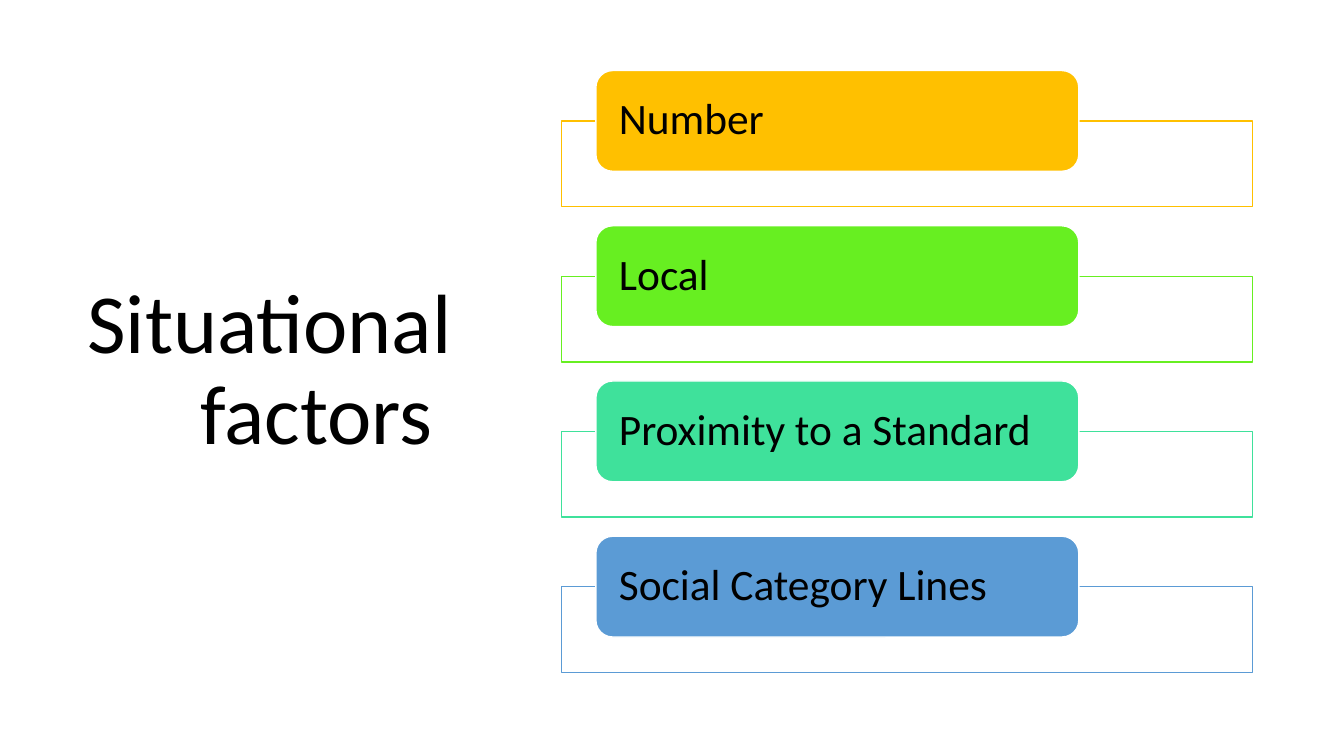
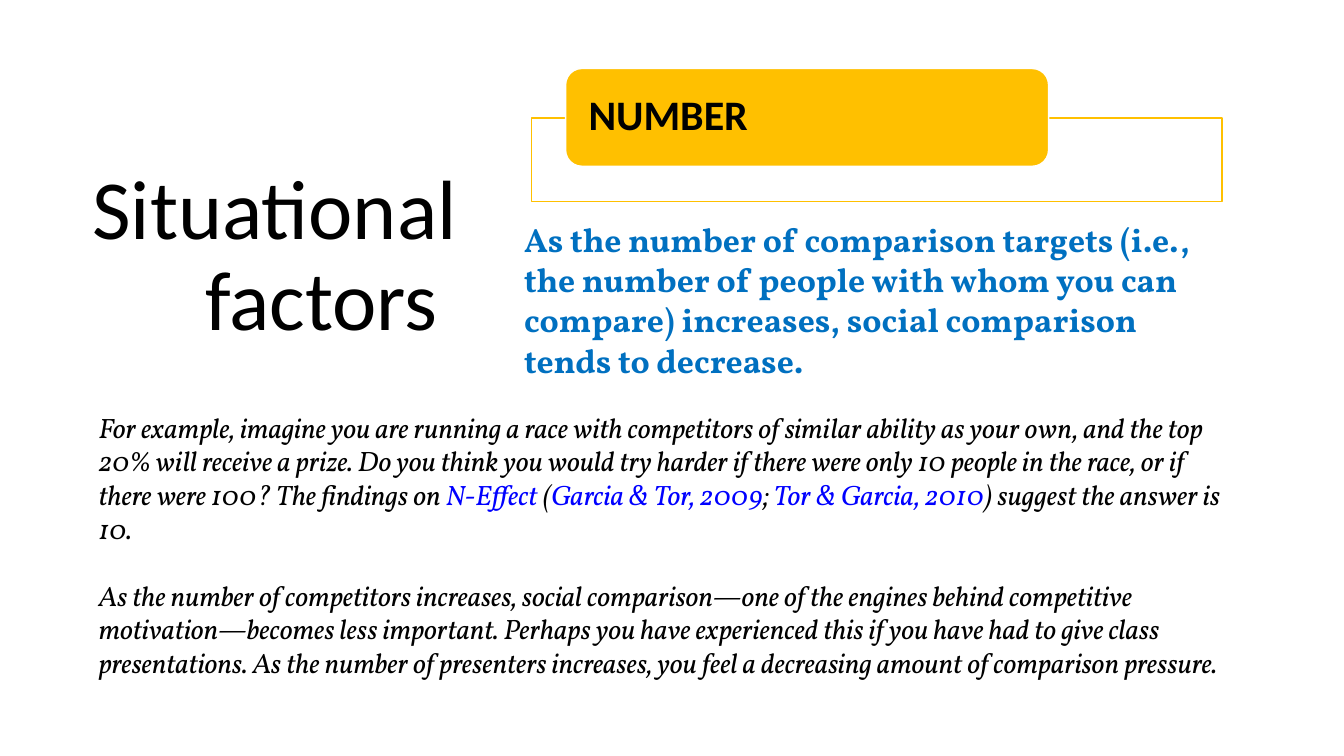
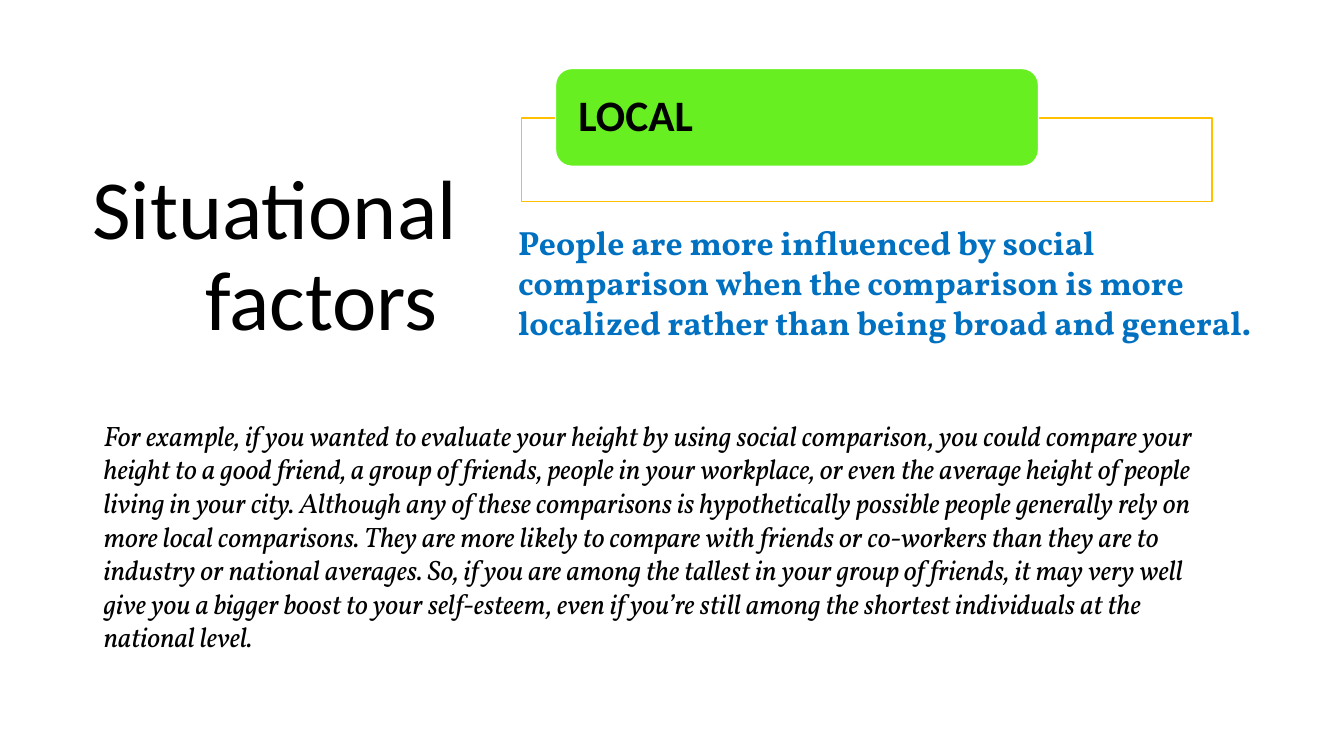
from lxml import etree
from pptx import Presentation
from pptx.dml.color import RGBColor
from pptx.enum.shapes import MSO_SHAPE
from pptx.enum.text import MSO_ANCHOR, MSO_AUTO_SIZE, PP_ALIGN
from pptx.oxml.ns import qn
from pptx.util import Pt

RECT, ROUND = MSO_SHAPE.RECTANGLE, MSO_SHAPE.ROUNDED_RECTANGLE
MIDDLE, TOP = MSO_ANCHOR.MIDDLE, MSO_ANCHOR.TOP
LEFT, RIGHT = PP_ALIGN.LEFT, PP_ALIGN.RIGHT
NO_FIT, GROW = MSO_AUTO_SIZE.NONE, MSO_AUTO_SIZE.SHAPE_TO_FIT_TEXT

PX = 9144  # 100 px to the inch
TITLE_ONLY = 5
COLORS = {
    "white": "FFFFFF", "black": "000000", "amber": "FFC000",
    "green": "67EF21", "mint": "3FE19B", "sky": "5B9BD5",
    "blue": "0070C0", "cite": "0000FF",
}

# Text styles
TITLE = {"name": "Calibri", "size": Pt(60)}
LABEL = {"name": "Calibri", "size": Pt(31)}
LABEL_BOLD = {**LABEL, "bold": True}
CLAIM = {"name": "Vollkorn", "size": Pt(24), "bold": True}
EXAMPLE = {"name": "Vollkorn", "size": Pt(20), "italic": True}


def color(name):
    return RGBColor.from_string(COLORS[name])


def px(*lengths):
    return [n * PX for n in lengths]


def format_frame(tf, margins, anchor, fit):
    values = {"word_wrap": True, "auto_size": fit, "vertical_anchor": anchor}
    sides = ("margin_left", "margin_top", "margin_right", "margin_bottom")
    values.update(zip(sides, px(*margins)))
    for key, value in values.items():
        setattr(tf, key, value)


def add_run(p, text, style, ink="black"):
    r = p.add_run()
    r.text = text
    for key, value in style.items():
        setattr(r.font, key, value)
    r.font.color.rgb = color(ink)


def add_slide(prs, box):
    """Title-only slide with the shared heading in the given box."""
    slide = prs.slides.add_slide(prs.slide_layouts[TITLE_ONLY])
    sp = slide.shapes.title
    sp.left, sp.top, sp.width, sp.height = px(*box)
    format_frame(sp.text_frame, (25, 25, 25, 25), MIDDLE, NO_FIT)
    p = sp.text_frame.paragraphs[0]
    p.alignment, p.line_spacing = RIGHT, 0.9
    add_run(p, "Situational factors ", TITLE)
    return slide


def add_panel(slide, kind, box, fill, line):
    sp = slide.shapes.add_shape(kind, *px(*box))
    sp.shadow.inherit = False
    sp.fill.solid()
    sp.fill.fore_color.rgb = color(fill)
    sp.line.color.rgb = color(line)
    sp.line.width = Pt(1)
    return sp


def add_factor(slide, left, top, tab_h, frame_h, text, fill, line, style):
    """Outlined frame with a coloured tab that starts half its height above."""
    frame = add_panel(slide, RECT, (left, top + (tab_h + 1) // 2, 685, frame_h),
                      "white", line)
    white = frame.fill.fore_color._xFill.find(qn("a:srgbClr"))
    etree.SubElement(white, qn("a:alpha"), val="90000")
    tab = add_panel(slide, ROUND, (left + 34, top, 479, tab_h), fill, "white")
    format_frame(tab.text_frame, (18, 0, 18, 0), MIDDLE, NO_FIT)
    p = tab.text_frame.paragraphs[0]
    p.alignment, p.line_spacing = LEFT, 0.9
    add_run(p, text, style)


def add_text(slide, box, paragraphs, style, ink="black"):
    """Text box; each paragraph is a list of (text, colour) or plain strings."""
    tf = slide.shapes.add_textbox(*px(*box)).text_frame
    format_frame(tf, (10, 5, 10, 5), TOP, GROW)
    for i, runs in enumerate(paragraphs):
        p = tf.add_paragraph() if i else tf.paragraphs[0]
        if i:
            p.space_before = Pt(24)
        for run in runs:
            text, run_ink = (run, ink) if isinstance(run, str) else run
            add_run(p, text, style, run_ink)


def build_overview(prs):
    slide = add_slide(prs, (57, 68, 416, 602))
    factors = [("Number", "amber"), ("Local", "green"),
               ("Proximity to a Standard", "mint"),
               ("Social Category Lines", "sky")]
    for i, (text, ink) in enumerate(factors):
        add_factor(slide, 557, 70 + 154 * i, 100, 85, text, ink, ink, LABEL)


def build_detail(prs, left, label, fill, style, claim_box, claim,
                 example_box, example):
    slide = add_slide(prs, (62, 119, 416, 274))
    add_factor(slide, left, 68, 97, 83, label, fill, "amber", style)
    add_text(slide, claim_box, [[claim]], CLAIM, "blue")
    add_text(slide, example_box, example, EXAMPLE)


def main():
    prs = Presentation()
    prs.slide_width, prs.slide_height = px(1333, 750)

    build_overview(prs)

    # Number
    build_detail(
        prs, 527, "NUMBER", "amber", {**LABEL_BOLD, "size": Pt(30)},
        (510, 212, 713, 172),
        "As the number of comparison targets (i.e., the number of people with "
        "whom you can compare) increases, social comparison tends to decrease.",
        (88, 402, 1135, 313),
        [["For example, imagine you are running a race with competitors of "
          "similar ability as your own, and the top 20% will receive a prize. "
          "Do you think you would try harder if there were only 10 people in "
          "the race, or if there were 100? The findings on ",
          ("N-Effect ", "cite"), "(", ("Garcia & Tor, 2009", "cite"), "; ",
          ("Tor & Garcia, 2010", "cite"), ") suggest the answer is 10."],
         ["As the number of competitors increases, social comparison—one of "
          "the engines behind competitive motivation—becomes less important. "
          "Perhaps you have experienced this if you have had to give class "
          "presentations. As the number of presenters increases, you feel a "
          "decreasing amount of comparison pressure."]])

    # Local
    build_detail(
        prs, 517, "LOCAL", "green", LABEL_BOLD,
        (504, 215, 750, 172),
        "People are more influenced by social comparison when the comparison "
        "is more localized rather than being broad and general.",
        (93, 410, 1130, 279),
        [["For example, if you wanted to evaluate your height by using social "
          "comparison, you could compare your height to a good friend, a group "
          "of friends, people in your workplace, or even the average height of "
          "people living in your city. Although any of these comparisons is "
          "hypothetically possible people generally rely on more local "
          "comparisons. They are more likely to compare with friends or "
          "co-workers than they are to industry or national averages. So, if "
          "you are among the tallest in your group of friends, it may very "
          "well give you a bigger boost to your self-esteem, even if you’re "
          "still among the shortest individuals at the national level."]])

    prs.save("out.pptx")


if __name__ == "__main__":
    main()
